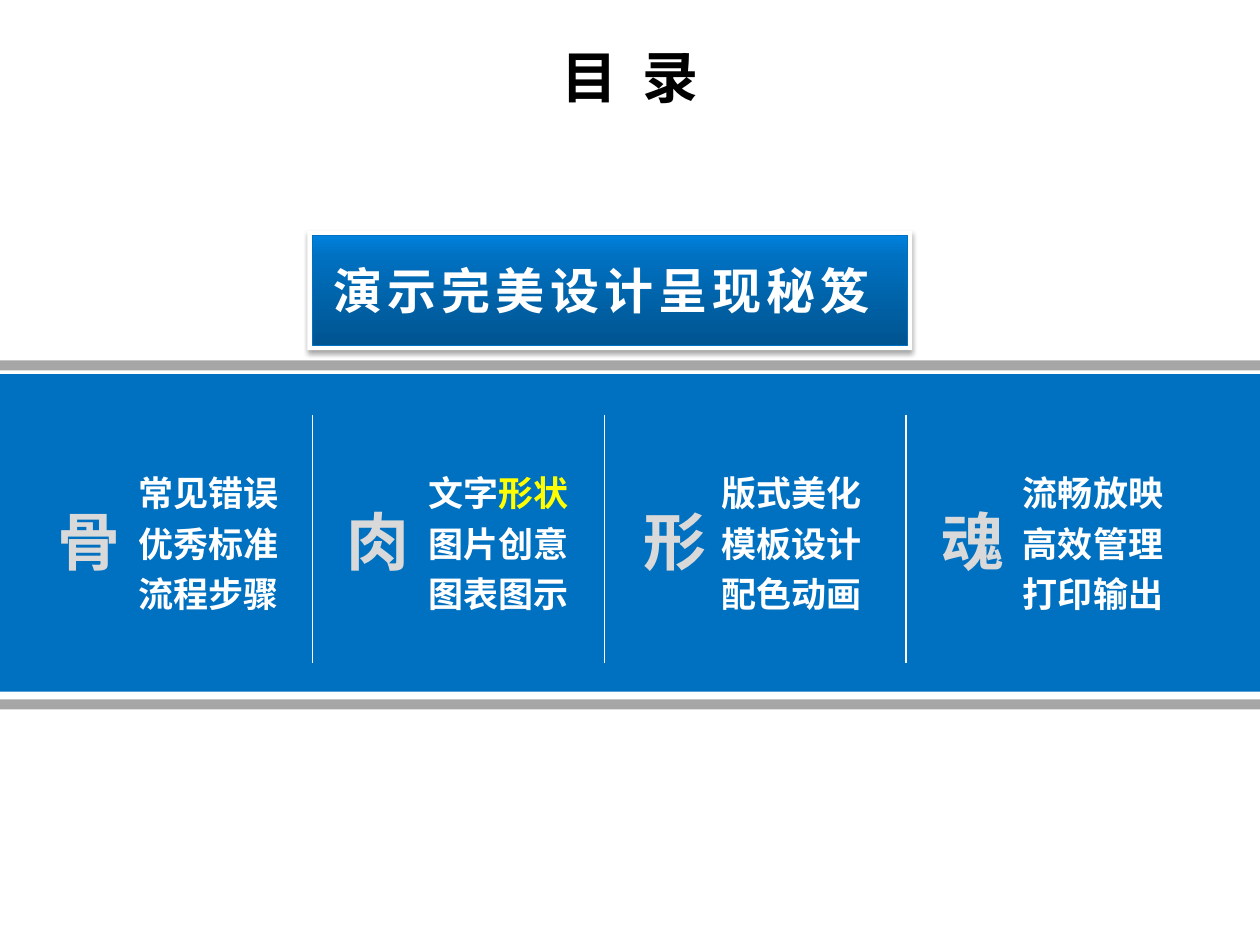
from dataclasses import dataclass
from typing import Any

from pptx import Presentation
from pptx import util as u
from pptx.dml.color import RGBColor
from pptx.enum import shapes, text
from pptx.oxml import parse_xml
from pptx.oxml.ns import nsdecls, qn

BLACK = RGBColor(0x00, 0x00, 0x00)
WHITE = RGBColor(0xFF, 0xFF, 0xFF)
BLUE = RGBColor(0x00, 0x70, 0xC0)
DEEP_BLUE = RGBColor(0x00, 0x54, 0x90)
BRIGHT_BLUE = RGBColor(0x00, 0x81, 0xDD)
GREY = RGBColor(0xA6, 0xA6, 0xA6)
PALE = RGBColor(0xD9, 0xD9, 0xD9)
YELLOW = RGBColor(0xFF, 0xFF, 0x00)


@dataclass
class Painter:
    page: Any
    font: str = "Noto Sans CJK SC"

    def span(self, para, words, size, color, spacing=0):
        span = para.add_run()
        span.text = words
        span.font.name = self.font
        span.font.size = u.Pt(size)
        span.font.bold = True
        span.font.color.rgb = color
        props = span.font._element
        props.find(qn("a:latin")).addnext(
            parse_xml(f'<a:ea {nsdecls("a")} typeface="{self.font}"/>'))
        if spacing:
            props.set("spc", str(spacing * 100))

    def title(self, words, *place):
        box = self.page.shapes.title
        box.left, box.top, box.width, box.height = map(u.Inches, place)
        frame = box.text_frame
        frame.vertical_anchor = text.MSO_ANCHOR.MIDDLE
        para = frame.paragraphs[0]
        para.alignment = text.PP_ALIGN.CENTER
        self.span(para, words, 32, BLACK)

    def bar(self, color, *place):
        bar = self.page.shapes.add_shape(
            shapes.MSO_SHAPE.RECTANGLE, *map(u.Inches, place))
        bar.shadow.inherit = False
        bar.fill.solid()
        bar.fill.fore_color.rgb = color
        bar.line.fill.background()
        return bar

    def divider(self, x, top, bottom):
        line = self.page.shapes.add_connector(
            shapes.MSO_CONNECTOR.STRAIGHT, *map(u.Inches, (x, top, x, bottom)))
        line.line.color.rgb = WHITE
        line.line.width = u.Pt(0.75)
        line._element.spPr.append(parse_xml(f'<a:effectLst {nsdecls("a")}/>'))

    def textbox(self, lines, size, place, spacing=1.0):
        box = self.page.shapes.add_textbox(*map(u.Inches, place))
        frame = box.text_frame
        frame.word_wrap = False
        frame.auto_size = text.MSO_AUTO_SIZE.SHAPE_TO_FIT_TEXT
        for number, spans in enumerate(lines):
            para = frame.add_paragraph() if number else frame.paragraphs[0]
            para.line_spacing = spacing
            for words, color in spans:
                self.span(para, words, size, color)

    def banner(self, words, left, top, width, height, rim=0.04):
        frame = self.bar(WHITE, left - rim, top - rim,
                         width + 2 * rim, height + 2 * rim)
        frame._element.spPr.find(qn("a:effectLst")).append(parse_xml(
            f'<a:outerShdw {nsdecls("a")} blurRad="{u.Pt(3.1)}" '
            f'dist="{u.Pt(1.8)}" dir="5400000" rotWithShape="0">'
            '<a:srgbClr val="000000"><a:alpha val="35000"/></a:srgbClr>'
            '</a:outerShdw>'))
        panel = self.bar(BLUE, left, top, width, height)
        stops = "".join(
            f'<a:gs pos="{share * 1000}"><a:srgbClr val="{color}"/></a:gs>'
            for share, color in ((0, DEEP_BLUE), (80, BLUE), (100, BRIGHT_BLUE)))
        props = panel._element.spPr
        props.replace(props.find(qn("a:solidFill")), parse_xml(
            f'<a:gradFill {nsdecls("a")} rotWithShape="1"><a:gsLst>{stops}'
            '</a:gsLst><a:lin ang="16200000" scaled="0"/></a:gradFill>'))
        panel.line.color.rgb = BLUE
        panel.line.width = u.Pt(0.75)
        panel.text_frame.vertical_anchor = text.MSO_ANCHOR.MIDDLE
        para = panel.text_frame.paragraphs[0]
        para.alignment = text.PP_ALIGN.CENTER
        self.span(para, words, 28, WHITE, spacing=3)


def plain(*lines):
    return [[(words, WHITE)] for words in lines]


def main():
    deck = Presentation()
    deck.slide_width, deck.slide_height = u.Inches(10), u.Inches(7.5)
    painter = Painter(deck.slides.add_slide(deck.slide_layouts[5]))
    painter.title("目  录", 0.51, 0.3, 8.98, 0.61)

    for color, top, height in ((GREY, 2.86, 0.08), (BLUE, 2.97, 2.52),
                               (GREY, 5.55, 0.08)):
        painter.bar(color, -0.01, top, 10.02, height)
    for x in (2.48, 4.8, 7.19):
        painter.divider(x, 3.29, 5.26)

    chapters = (
        ("骨", 0.36, 1.0, plain("常见错误", "优秀标准", "流程步骤")),
        ("肉", 2.65, 3.3, [[("文字", WHITE), ("形状", YELLOW)]]
         + plain("图片创意", "图表图示")),
        ("形", 5.01, 5.63, plain("版式美化", "模板设计", "配色动画")),
        ("魂", 7.37, 8.02, plain("流畅放映", "高效管理", "打印输出")),
    )
    for sign, sign_left, list_left, lines in chapters:
        painter.textbox([[(sign, PALE)]], 36, (sign_left, 3.94, 0.71, 0.71))
        painter.textbox(lines, 20, (list_left, 3.63, 1.32, 1.31), spacing=1.2)

    painter.banner("演示完美设计呈现秘笈 ", 2.48, 1.87, 4.72, 0.87)
    deck.save("out.pptx")


if __name__ == "__main__":
    main()
